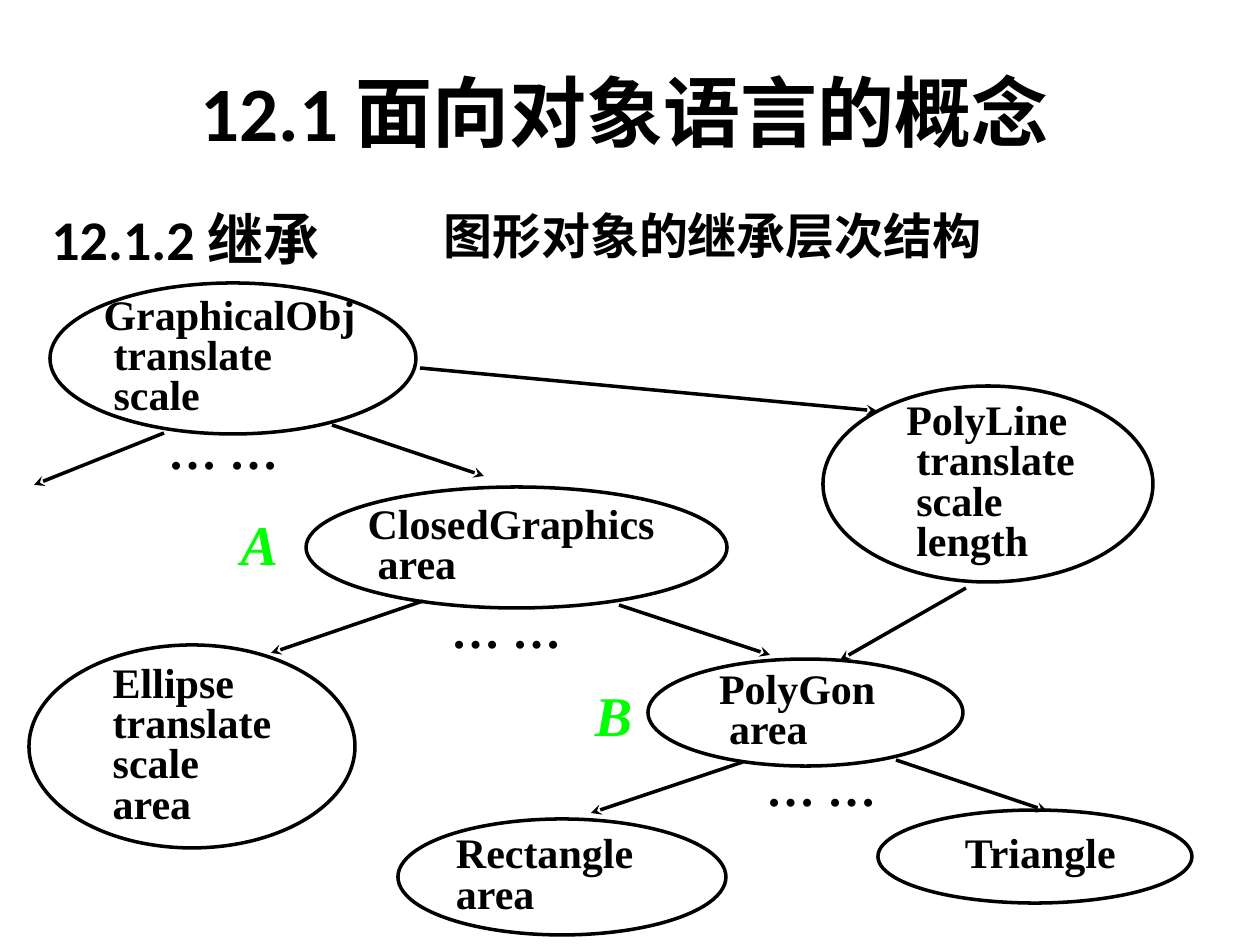
from lxml import etree
from pptx import Presentation
from pptx.dml.color import RGBColor
from pptx.enum.shapes import MSO_CONNECTOR, MSO_SHAPE
from pptx.enum.text import MSO_ANCHOR, PP_ALIGN
from pptx.oxml.ns import qn
from pptx.util import Pt

EMU_PER_PX = 914400 / 126
COLORS = {"ink": "000000", "mark": "00FF00"}
SERIF = "Times New Roman"
SANS = "Calibri"
CJK = "Noto Sans CJK SC"
LEFT, CENTER = PP_ALIGN.LEFT, PP_ALIGN.CENTER
TOP, MIDDLE = MSO_ANCHOR.TOP, MSO_ANCHOR.MIDDLE
OVAL = MSO_SHAPE.OVAL
STRAIGHT = MSO_CONNECTOR.STRAIGHT

NODES = [
    ((22, 0, 366, 151), 0, 10, ["GraphicalObj", "translate", "scale"]),
    ((795, 103, 330, 196), 35, 10, ["PolyLine", "translate", "scale", "length"]),
    ((278, 204, 421, 121), 0, 10, ["ClosedGraphics", "area"]),
    ((1, 362, 326, 203), 36, 0, ["Ellipse", "translate", "scale", "area"]),
    ((620, 376, 315, 107), 25, 10, ["PolyGon", "area"]),
    ((370, 536, 328, 116), 10, 0, ["Rectangle", "area"]),
    ((850, 527, 314, 93), 41, 0, ["Triangle"]),
]
ARROWS = [
    (304, 142, 456, 193),
    (136, 150, 6, 202),
    (392, 85, 849, 128),
    (395, 318, 243, 370),
    (591, 322, 742, 372),
    (868, 477, 1019, 528),
    (715, 479, 563, 530),
    (938, 305, 812, 377),
]
ELLIPSES = [(140, 168), (423, 347), (738, 505)]
MARKS = [("A", 195, 229), ("B", 549, 400)]


def px(length):
    return round(length * EMU_PER_PX)


def color(name):
    return RGBColor.from_string(COLORS[name])


def style(paragraph, size, face, ink="ink", align=LEFT, italic=None):
    paragraph.alignment = align
    font = paragraph.font
    font.size, font.name, font.bold, font.italic = Pt(size), face, True, italic
    font.color.rgb = color(ink)


def set_margins(frame, left=0, top=0, right=0, bottom=0):
    frame.margin_left, frame.margin_top = px(left), px(top)
    frame.margin_right, frame.margin_bottom = px(right), px(bottom)


def add_label(slide, box, parts, size, face, anchor=TOP, wrap=True, **look):
    frame = slide.shapes.add_textbox(*map(px, box)).text_frame
    frame.word_wrap = wrap
    frame.vertical_anchor = anchor
    paragraph = frame.paragraphs[0]
    for part in parts:
        paragraph.add_run().text = part
    style(paragraph, size, face, **look)
    return frame


def add_headings(slide, box):
    left, top, width, height = box
    add_label(slide, (left + 3, top, width - 15, 158), ["12.1 面向对象语言的概念"],
              44, SANS, MIDDLE, align=CENTER)
    section = add_label(slide, (left, top + 166, 380, 72), ["12.1.2 ", "继承"], 32, SANS)
    section.paragraphs[0].runs[1].font.name = CJK
    add_label(slide, (left + 392, top + 167, 577, 73), ["图形对象的继承层次结构"], 28, SERIF)


def add_node(slide, box, margin, indent, names):
    node = slide.shapes.add_shape(OVAL, *map(px, box))
    node.shadow.inherit = False
    node.fill.background()
    node.line.color.rgb = color("ink")
    node.line.width = Pt(2)
    frame = node.text_frame
    frame.word_wrap = True
    frame.vertical_anchor = MIDDLE
    set_margins(frame, left=margin)
    for index, name in enumerate(names):
        paragraph = frame.add_paragraph() if index else frame.paragraphs[0]
        paragraph.text = name
        paragraph.line_spacing = 0.8
        style(paragraph, 24, SERIF)
        if index and indent:
            properties = paragraph._p.get_or_add_pPr()
            properties.set("marL", str(px(indent)))
            properties.set("indent", "0")


def add_arrow(slide, ends):
    arrow = slide.shapes.add_connector(STRAIGHT, *map(px, ends))
    arrow.line.color.rgb = color("ink")
    arrow.line.width = Pt(2)
    etree.SubElement(arrow.line._get_or_add_ln(), qn("a:tailEnd"), type="stealth")
    etree.SubElement(arrow._element.spPr, qn("a:effectLst"))


def add_hierarchy(slide, box):
    left, top = box[:2]
    for (x, y, width, height), margin, indent, names in NODES:
        add_node(slide, (left + x, top + y, width, height), margin, indent, names)
    for x1, y1, x2, y2 in ARROWS:
        add_arrow(slide, (left + x1, top + y1, left + x2, top + y2))
    for x, y in ELLIPSES:
        frame = add_label(slide, (left + x, top + y, 156, 53), ["… …"], 28, SERIF)
        set_margins(frame)
        frame.paragraphs[0].line_spacing = 0.4
    for letter, x, y in MARKS:
        add_label(slide, (left + x, top + y, 73, 63), [letter], 32, SERIF, MIDDLE,
                  wrap=False, ink="mark", align=CENTER, italic=True)


def main():
    deck = Presentation()
    deck.slide_width, deck.slide_height = px(1260), px(945)
    slide = deck.slides.add_slide(deck.slide_layouts[6])
    add_headings(slide, (39, 32, 1181, 240))
    add_hierarchy(slide, (28, 283, 1165, 652))
    deck.save("out.pptx")


if __name__ == "__main__":
    main()
